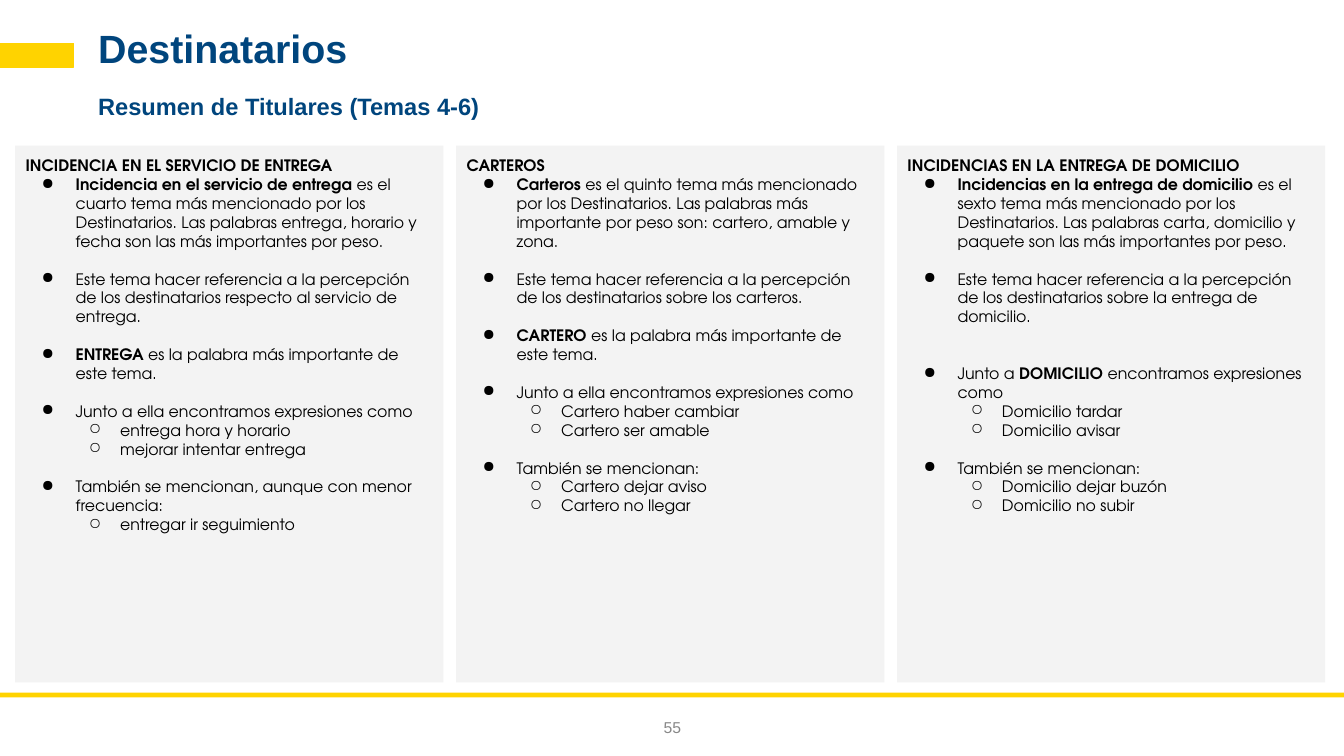
import pptx
import pptx.util
import pptx.dml.color
import pptx.enum.shapes
import pptx.enum.text
import lxml.etree

Pt = pptx.util.Pt
Inches = pptx.util.Inches
Align = pptx.enum.text.PP_ALIGN
Anchor = pptx.enum.text.MSO_ANCHOR

deck = pptx.Presentation()
deck.slide_width = Inches(14.22)
deck.slide_height = Inches(8)
slide = deck.slides.add_slide(deck.slide_layouts[6])
X = deck.slide_width / 100
Y = deck.slide_height / 100


def tint(target, shade):
    if hasattr(target, "solid"):
        target.solid()
        target = target.fore_color
    else:
        target = target.color
    target.rgb = pptx.dml.color.RGBColor.from_string(shade)


def block(left, top, width, height, shade):
    shape = slide.shapes.add_shape(
        pptx.enum.shapes.MSO_SHAPE.RECTANGLE,
        int(left * X), int(top * Y), int(width * X), int(height * Y))
    shape.shadow.inherit = False
    tint(shape.fill, shade)
    shape.line.fill.background()
    return shape


block(0, 91.63, 100, 0.63, "FFD300")
tag = block(0, 5.75, 5.49, 3.13, "FFD300")
tint(tag.line.fill, "FFD300")
tag.line.width = Pt(1)

labels = [
    ("Destinatarios", 6.61, 3.63, 90.86, 6.25, 30, "00457D", True, Align.LEFT),
    ("Resumen de Titulares (Temas 4-6)", 6.61, 12.38, 90.86, 3.75, 18, "00457D", True, Align.LEFT),
    ("55", 47.89, 92.25, 4.29, 7.75, 12, "888888", False, Align.CENTER),
]
for words, left, top, width, height, size, shade, bold, align in labels:
    box = slide.shapes.add_textbox(int(left * X), int(top * Y), int(width * X), int(height * Y))
    frame = box.text_frame
    frame.word_wrap = True
    frame.vertical_anchor = Anchor.MIDDLE
    frame.text = words
    para = frame.paragraphs[0]
    para.alignment = align
    if bold:
        para.line_spacing = 0.9
    font = para.runs[0].font
    font.name = "Arial"
    font.size = Pt(size)
    font.bold = bold
    tint(font, shade)

# Each line: level, blank rows above, text with *bold* parts
topics = [
    [
        (0, 0, "*INCIDENCIA EN EL SERVICIO DE ENTREGA*"),
        (1, 0, "*Incidencia en el servicio de entrega *es el cuarto tema más mencionado por los Destinatarios. Las palabras entrega, horario y fecha son las más importantes por peso."),
        (1, 1, "Este tema hacer referencia a la percepción de los destinatarios respecto al servicio de entrega."),
        (1, 1, "*ENTREGA *es la palabra más importante de este tema."),
        (1, 1, "Junto a ella encontramos expresiones como"),
        (2, 0, "entrega hora y horario"),
        (2, 0, "mejorar intentar entrega"),
        (1, 1, "También se mencionan, aunque con menor frecuencia:"),
        (2, 0, "entregar ir seguimiento"),
    ],
    [
        (0, 0, "*CARTEROS*"),
        (1, 0, "*Carteros *es el quinto tema más mencionado por los Destinatarios. Las palabras más importante por peso son: cartero, amable y zona."),
        (1, 1, "Este tema hacer referencia a la percepción de los destinatarios sobre los carteros."),
        (1, 1, "*CARTERO *es la palabra más importante de este tema."),
        (1, 1, "Junto a ella encontramos expresiones como"),
        (2, 0, "Cartero haber cambiar"),
        (2, 0, "Cartero ser amable"),
        (1, 1, "También se mencionan:"),
        (2, 0, "Cartero dejar aviso"),
        (2, 0, "Cartero no llegar"),
    ],
    [
        (0, 0, "*INCIDENCIAS EN LA ENTREGA DE DOMICILIO*"),
        (1, 0, "*Incidencias en la entrega de domicilio *es el sexto tema más mencionado por los Destinatarios. Las palabras carta, domicilio y paquete son las más importantes por peso."),
        (1, 1, "Este tema hacer referencia a la percepción de los destinatarios sobre la entrega de domicilio."),
        (1, 2, "Junto a *DOMICILIO *encontramos expresiones como"),
        (2, 0, "Domicilio tardar"),
        (2, 0, "Domicilio avisar"),
        (1, 1, "También se mencionan:"),
        (2, 0, "Domicilio dejar buzón"),
        (2, 0, "Domicilio no subir"),
    ],
]
marks = {1: ("●", 0.53, -0.36), 2: ("○", 1, -0.33)}
space = "{http://schemas.openxmlformats.org/drawingml/2006/main}"

for col, lines in enumerate(topics):
    frame = block(1.13 + col * 32.81, 19.25, 31.86, 71, "F3F3F3").text_frame
    frame.word_wrap = True
    frame.vertical_anchor = Anchor.TOP
    frame.margin_left = frame.margin_right = Inches(0.11)
    frame.margin_top = frame.margin_bottom = Inches(0.11)
    for row, (level, gap, words) in enumerate(lines):
        para = frame.add_paragraph() if row else frame.paragraphs[0]
        para.alignment = Align.LEFT
        if gap:
            para.space_before = Pt(14.4 * gap)
        if level:
            mark, margin, indent = marks[level]
            para.level = level - 1
            props = para._p.get_or_add_pPr()
            props.set("marL", str(Inches(margin)))
            props.set("indent", str(Inches(indent)))
            lxml.etree.SubElement(props, space + "buChar").set("char", mark)
        for turn, part in enumerate(words.split("*")):
            if part:
                run = para.add_run()
                run.text = part
                run.font.name = "TeX Gyre Adventor"
                run.font.size = Pt(12)
                run.font.bold = turn % 2 == 1
                tint(run.font, "000000")

deck.save("out.pptx")
